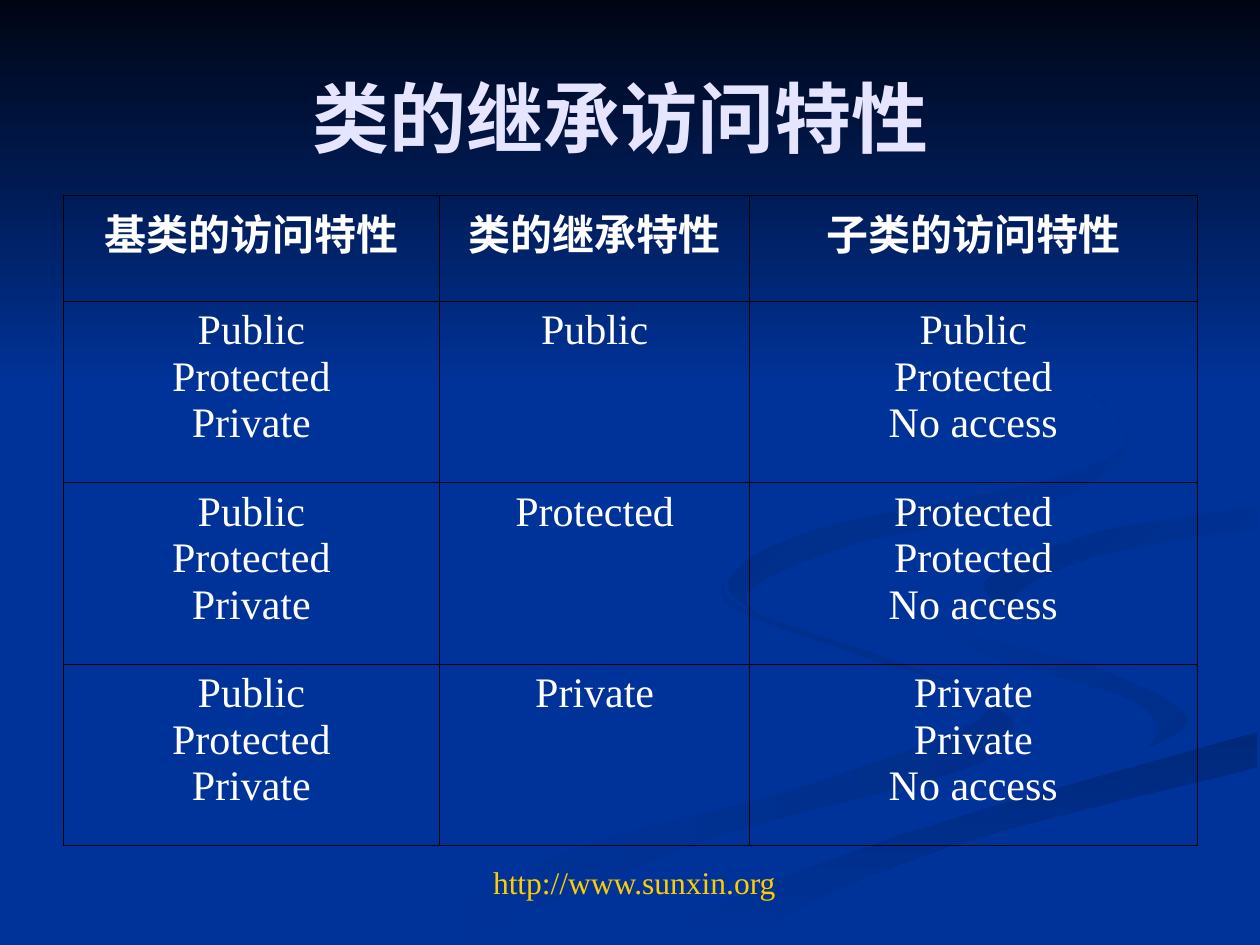
from pptx import Presentation
from pptx.dml.color import RGBColor
from pptx.enum.text import MSO_ANCHOR, PP_ALIGN
from pptx.oxml import parse_xml
from pptx.oxml.ns import nsdecls
from pptx.util import Inches, Pt

CENTER = PP_ALIGN.CENTER
TOP, MIDDLE = MSO_ANCHOR.TOP, MSO_ANCHOR.MIDDLE
FONT = "Times New Roman"
BLUE, WHITE, BLACK = "003399", "FFFFFF", "000000"
TITLE_COLOUR, LINK_COLOUR = "E5E5FF", "FFCC00"

TITLE = "类的继承访问特性 "
LINK = "http://www.sunxin.org"
HEADERS = ["基类的访问特性", "类的继承特性", "子类的访问特性"]
BASE_ACCESS = ["Public", "Protected", "Private"]
INHERITANCE = [
    ("Public", ["Public", "Protected", "No access"]),
    ("Protected", ["Protected", "Protected", "No access"]),
    ("Private", ["Private", "Private", "No access"]),
]
COLUMN_WIDTHS = [2.99, 2.46, 3.55]
HEADER_HEIGHT, ROW_HEIGHT = 0.84, 1.44

# Ribbon edges are smooth curves through points in hundredths of an inch
CURVE_STEPS = 6
BAND_BOTTOM = [(503, 749), (630, 693), (765, 647), (998, 581)]
BAND_INNER = [(826, 496), (781, 463), (865, 424), (998, 402)]

# Backdrop: (start colour, end colour, clockwise angle, edges)
BACKDROP = [
    ("002E8A", BLUE, 180, [
        [(575, 459), (583, 483), (679, 519), (785, 562), (652, 620), (458, 674), (300, 749)],
        [(361, 749), (564, 665), (780, 605), (781, 553), (594, 485), (575, 459)]]),
    ("002E8A", BLUE, 225, [
        [(724, 464), (766, 512), (892, 553), (918, 581), (894, 605)],
        [(894, 605), (943, 570), (870, 530), (745, 490), (724, 464)]]),
    ("00297C", BLUE, 90, [BAND_BOTTOM, [(998, 609), (752, 672), (571, 749)]]),
    (BLUE, BLUE, 0, [
        [(998, 387), (808, 417), (725, 464), (759, 498), (905, 540), (943, 575),
         (843, 618), (619, 684), (477, 749)],
        BAND_BOTTOM, [(998, 538), (826, 496)], BAND_INNER]),
    (BLUE, "002C85", 225, [BAND_INNER, [(998, 420), (878, 439), (806, 472), (826, 496)]]),
    (BLUE, "002B81", 225, [
        [(762, 233), (894, 344), (825, 402), (683, 430), (593, 470), (622, 500)],
        [(622, 500), (578, 462), (649, 420), (842, 378), (889, 335), (762, 233)]]),
    ("000514", BLUE, 90, [[(0, 0), (1000, 0)], [(1000, 308), (0, 308)]]),
]


def rgb(colour):
    return RGBColor.from_string(colour)


def smooth(edge):
    """Return points on a Catmull-Rom curve through the points of an edge."""
    padded = [edge[0], *edge, edge[-1]]
    points = [edge[0]]
    for before, start, end, after in zip(padded, padded[1:], padded[2:], padded[3:]):
        for step in range(1, CURVE_STEPS + 1):
            t = step / CURVE_STEPS
            points.append(tuple(
                b + t / 2 * (c - a + t * (2 * a - 5 * b + 4 * c - d
                                          + t * (3 * b - 3 * c + d - a)))
                for a, b, c, d in zip(before, start, end, after)))
    return points


def add_backdrop_part(slide, start, end, angle, edges):
    outline = [point for edge in edges for point in smooth(edge)]
    builder = slide.shapes.build_freeform(*outline[0], scale=Inches(0.01))
    builder.add_line_segments(outline[1:], close=True)
    part = builder.convert_to_shape()
    part.shadow.inherit = False
    part.line.fill.background()
    if start == end:
        part.fill.solid()
        part.fill.fore_color.rgb = rgb(start)
        return
    part.fill.gradient()
    part.fill.gradient_angle = (360 - angle) % 360
    for stop, colour, position in zip(part.fill.gradient_stops, (start, end), (0, 1)):
        stop.color.rgb = rgb(colour)
        stop.position = position


def write(frame, lines, colour, size, bold=False, anchor=TOP):
    frame.word_wrap = True
    frame.vertical_anchor = anchor
    frame.text = "\n".join(lines)
    font_format = {"name": FONT, "size": Pt(size), "bold": bold}
    for paragraph in frame.paragraphs:
        paragraph.alignment = CENTER
        for run in paragraph.runs:
            run.font.color.rgb = rgb(colour)
            for attribute, value in font_format.items():
                setattr(run.font, attribute, value)


def add_borders(cell):
    properties = cell._tc.get_or_add_tcPr()
    for index, side in enumerate("LRTB"):
        properties.insert(index, parse_xml(
            f'<a:ln{side} {nsdecls("a")} w="{Pt(0.34)}"><a:solidFill>'
            f'<a:srgbClr val="{BLACK}"/></a:solidFill></a:ln{side}>'))


def add_access_table(slide):
    rows = [[[header] for header in HEADERS]]
    rows += [[BASE_ACCESS, [mode], result] for mode, result in INHERITANCE]
    heights = [HEADER_HEIGHT] + [ROW_HEIGHT] * len(INHERITANCE)
    table = slide.shapes.add_table(
        len(rows), len(HEADERS), Inches(0.5), Inches(1.55),
        Inches(sum(COLUMN_WIDTHS)), Inches(sum(heights))).table
    table.first_row = table.horz_banding = False
    for column, width in zip(table.columns, COLUMN_WIDTHS):
        column.width = Inches(width)
    for r, (row, height) in enumerate(zip(rows, heights)):
        table.rows[r].height = Inches(height)
        for c, lines in enumerate(row):
            cell = table.cell(r, c)
            cell.fill.background()
            add_borders(cell)
            write(cell.text_frame, lines, WHITE, 24, bold=r == 0)


def main():
    deck = Presentation()
    deck.slide_width, deck.slide_height = Inches(10), Inches(7.5)
    slide = deck.slides.add_slide(deck.slide_layouts[5])
    slide.background.fill.solid()
    slide.background.fill.fore_color.rgb = rgb(BLUE)

    for part in BACKDROP:
        add_backdrop_part(slide, *part)

    title = slide.shapes.title
    title.left, title.top = Inches(0.5), Inches(0.3)
    title.width, title.height = Inches(9), Inches(1.25)
    write(title.text_frame, [TITLE], TITLE_COLOUR, 44, bold=True, anchor=MIDDLE)
    slide.shapes._spTree.append(title._element)  # in front of the backdrop

    add_access_table(slide)
    link = slide.shapes.add_textbox(Inches(1.77), Inches(6.8), Inches(6.53), Inches(0.4))
    write(link.text_frame, [LINK], LINK_COLOUR, 18)
    deck.save("out.pptx")


if __name__ == "__main__":
    main()
